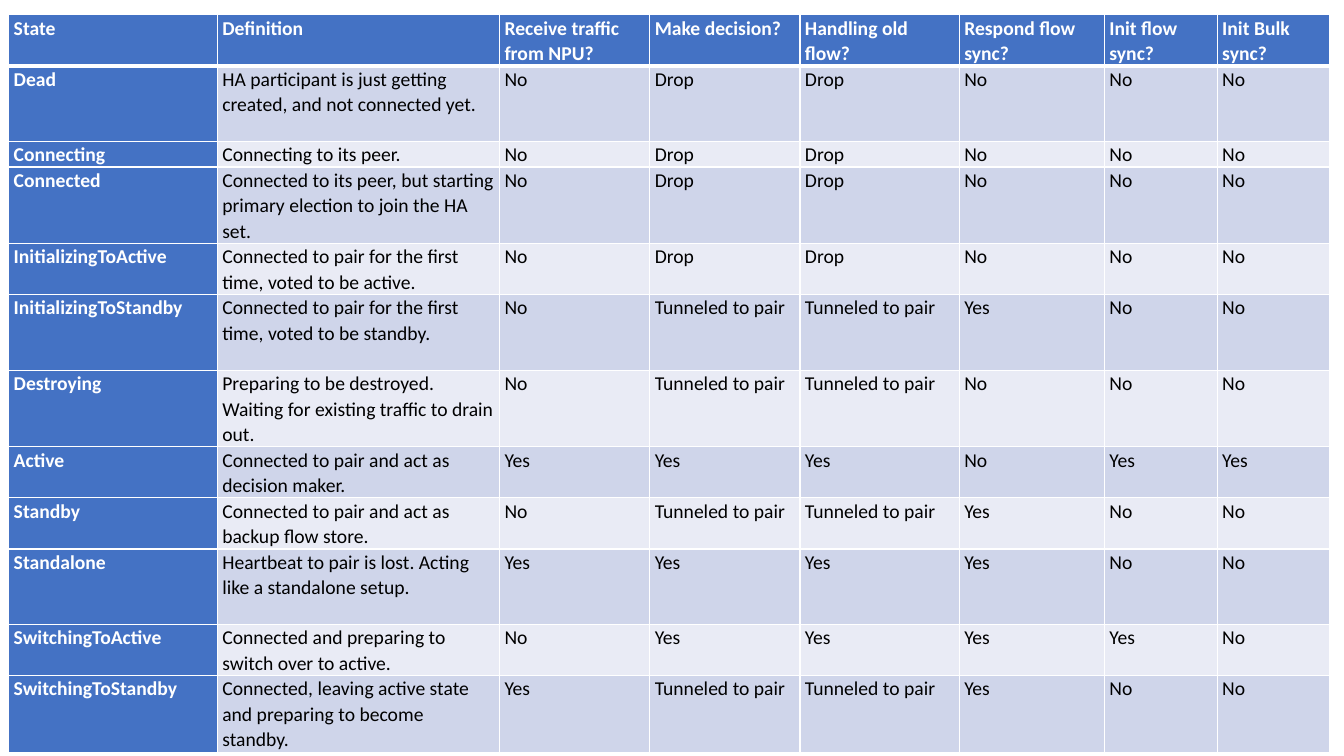
from lxml import etree
from pptx import Presentation
from pptx import util as u
from pptx.dml.color import RGBColor
from pptx.oxml import ns

WHITE = RGBColor(0xFF, 0xFF, 0xFF)
BLACK = RGBColor(0x00, 0x00, 0x00)
BLUE = RGBColor(0x44, 0x72, 0xC4)
BAND_DARK = RGBColor(0xCF, 0xD5, 0xEA)
BAND_LIGHT = RGBColor(0xE9, 0xEB, 0xF5)

COLUMN_WIDTHS = [149, 201.6, 107.3, 107.3, 113.8, 103.7, 80.6, 80.6]
LINE_HEIGHTS = {1: 17.3, 2: 35.3, 3: 54}
TUNNEL = "Tunneled to pair"

STATES = [
    (2, "State", "Definition", "Receive traffic from NPU?", "Make decision?",
     "Handling old flow?", "Respond flow sync?", "Init flow sync?", "Init Bulk sync?"),
    (3, "Dead", "HA participant is just getting created, and not connected yet.",
     "No", "Drop", "Drop", "No", "No", "No"),
    (1, "Connecting", "Connecting to its peer.",
     "No", "Drop", "Drop", "No", "No", "No"),
    (3, "Connected", "Connected to its peer, but starting primary election to join the HA set.",
     "No", "Drop", "Drop", "No", "No", "No"),
    (2, "InitializingToActive", "Connected to pair for the first time, voted to be active.",
     "No", "Drop", "Drop", "No", "No", "No"),
    (3, "InitializingToStandby", "Connected to pair for the first time, voted to be standby.",
     "No", TUNNEL, TUNNEL, "Yes", "No", "No"),
    (3, "Destroying", "Preparing to be destroyed. Waiting for existing traffic to drain out.",
     "No", TUNNEL, TUNNEL, "No", "No", "No"),
    (2, "Active", "Connected to pair and act as decision maker.",
     "Yes", "Yes", "Yes", "No", "Yes", "Yes"),
    (2, "Standby", "Connected to pair and act as backup flow store.",
     "No", TUNNEL, TUNNEL, "Yes", "No", "No"),
    (3, "Standalone", "Heartbeat to pair is lost. Acting like a standalone setup.",
     "Yes", "Yes", "Yes", "Yes", "No", "No"),
    (2, "SwitchingToActive", "Connected and preparing to switch over to active.",
     "No", "Yes", "Yes", "Yes", "Yes", "No"),
    (3, "SwitchingToStandby", "Connected, leaving active state and preparing to become standby.",
     "Yes", TUNNEL, TUNNEL, "Yes", "No", "No"),
]


def add_border(cell, side, width):
    properties = cell._tc.get_or_add_tcPr()
    line = etree.SubElement(properties, ns.qn(f"a:ln{side}"), w=str(u.Pt(width)))
    fill = etree.SubElement(line, ns.qn("a:solidFill"))
    etree.SubElement(fill, ns.qn("a:srgbClr"), val=str(WHITE))


presentation = Presentation()
presentation.slide_width = u.Pt(960)
presentation.slide_height = u.Pt(540)
slide = presentation.slides.add_slide(presentation.slide_layouts[6])

row_heights = [LINE_HEIGHTS[state[0]] for state in STATES]
shape = slide.shapes.add_table(
    len(STATES), len(COLUMN_WIDTHS), u.Pt(6.2), u.Pt(10.5),
    u.Pt(sum(COLUMN_WIDTHS)), u.Pt(sum(row_heights)))
table = shape.table
table.first_row = True
table.first_col = True

for column, width in zip(table.columns, COLUMN_WIDTHS):
    column.width = u.Pt(width)

for row_index, (lines, *values) in enumerate(STATES):
    table.rows[row_index].height = u.Pt(row_heights[row_index])
    band = BAND_DARK if row_index % 2 else BAND_LIGHT
    for column_index, value in enumerate(values):
        heading = row_index == 0 or column_index == 0
        cell = table.cell(row_index, column_index)
        cell.margin_left = cell.margin_right = u.Pt(3.6)
        cell.margin_top = cell.margin_bottom = u.Pt(0)
        add_border(cell, "L", 1)
        add_border(cell, "R", 1)
        add_border(cell, "T", 3 if row_index == 1 else 1)
        add_border(cell, "B", 3 if row_index == 0 else 1)
        cell.fill.solid()
        cell.fill.fore_color.rgb = BLUE if heading else band
        paragraph = cell.text_frame.paragraphs[0]
        paragraph.line_spacing = 1.07
        run = paragraph.add_run()
        run.text = value
        run.font.name = "Calibri"
        run.font.size = u.Pt(14)
        run.font.bold = heading
        run.font.color.rgb = WHITE if heading else BLACK

presentation.save("out.pptx")
